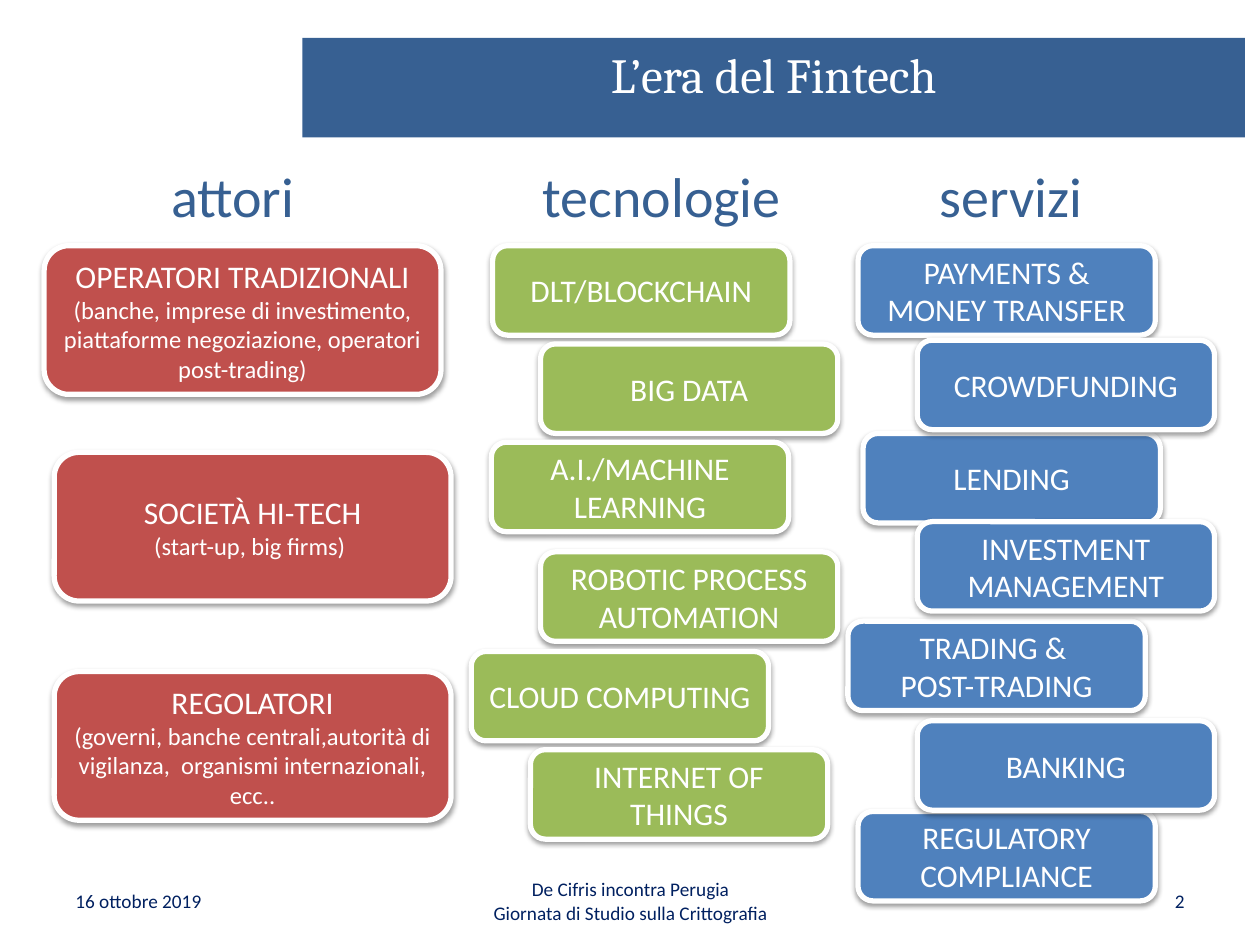
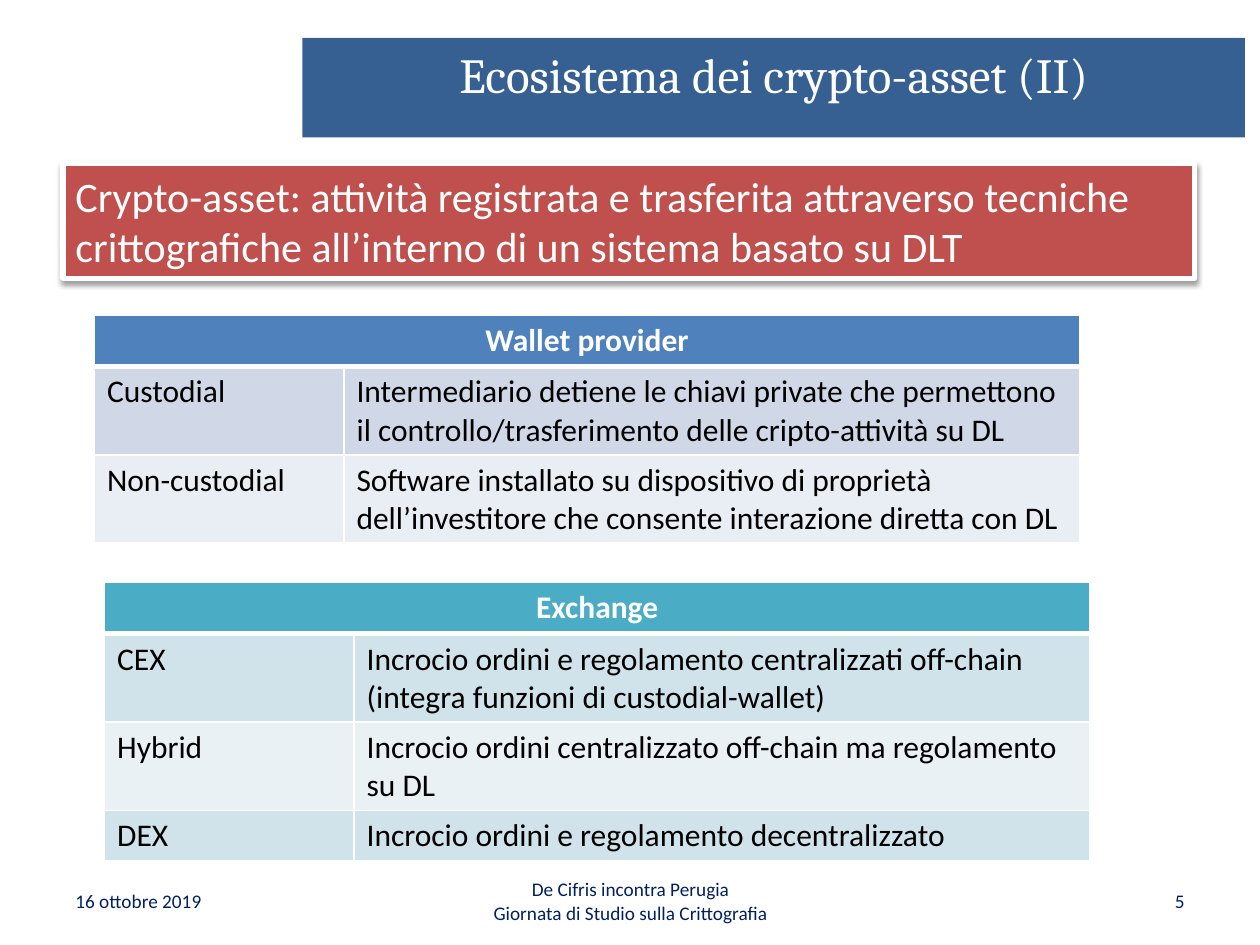
import lxml.etree
import pptx
import pptx.dml.color
import pptx.enum.shapes
import pptx.enum.text
import pptx.oxml.ns
import pptx.util

Inches = pptx.util.Inches
Pt = pptx.util.Pt
RGBColor = pptx.dml.color.RGBColor
Align = pptx.enum.text.PP_ALIGN
Anchor = pptx.enum.text.MSO_ANCHOR
ShapeType = pptx.enum.shapes.MSO_SHAPE
qn = pptx.oxml.ns.qn

WHITE = RGBColor(0xFF, 0xFF, 0xFF)
BLACK = RGBColor(0, 0, 0)
NAVY = RGBColor(0x00, 0x20, 0x60)
BAND_BLUE = RGBColor(0x37, 0x60, 0x92)
RED = RGBColor(0xC0, 0x50, 0x4D)
GREEN = RGBColor(0x9B, 0xBB, 0x59)
BLUE = RGBColor(0x4F, 0x81, 0xBD)
BLUE_ROWS = (RGBColor(0xD0, 0xD8, 0xE8), RGBColor(0xE9, 0xED, 0xF4))
TEAL = RGBColor(0x4B, 0xAC, 0xC6)
TEAL_ROWS = (RGBColor(0xD0, 0xE3, 0xEA), RGBColor(0xE9, 0xF1, 0xF5))


class Deck:
    """House style plus the slide being built."""

    BODY_FONT = "Calibri"
    TITLE_FONT = "Cambria"
    FOOTER = ["De Cifris incontra Perugia", "Giornata di Studio sulla Crittografia"]

    def __init__(self):
        self.presentation = pptx.Presentation()
        self.presentation.slide_width = Inches(10)
        self.presentation.slide_height = Inches(7.5)
        self.slide = None

    def new_slide(self, title, number):
        self.slide = self.presentation.slides.add_slide(self.presentation.slide_layouts[6])
        # Title band
        band = self.shape(ShapeType.RECTANGLE, 2.4, 0.3, 7.48, 0.79, BAND_BLUE)
        band.line.fill.background()
        self.fill_text(band.text_frame, [(title, 28)], WHITE, Align.CENTER, font=self.TITLE_FONT)
        # Footer
        for left, width, lines, align in (
            (0.5, 2.33, ["16 ottobre 2019"], Align.LEFT),
            (3.42, 3.17, self.FOOTER, Align.CENTER),
            (7.17, 2.33, [str(number)], Align.RIGHT),
        ):
            self.text(left, 6.95, width, 0.4, [(line, 11) for line in lines],
                      NAVY, align, Anchor.MIDDLE)

    def fill_text(self, frame, lines, color, align=Align.LEFT, anchor=Anchor.TOP,
                  font=BODY_FONT, bold=False):
        """Add (text, size) lines, one paragraph each."""
        frame.word_wrap = True
        frame.vertical_anchor = anchor
        for index, (text, size) in enumerate(lines):
            paragraph = frame.add_paragraph() if index else frame.paragraphs[0]
            paragraph.alignment = align
            run = paragraph.add_run()
            run.text = text
            run.font.size = Pt(size)
            run.font.name = font
            run.font.bold = bold
            run.font.color.rgb = color

    def text(self, left, top, width, height, lines, color, align=Align.LEFT, anchor=Anchor.TOP):
        box = self.slide.shapes.add_textbox(*map(Inches, (left, top, width, height)))
        self.fill_text(box.text_frame, lines, color, align, anchor)

    def shape(self, kind, left, top, width, height, fill):
        shape = self.slide.shapes.add_shape(kind, *map(Inches, (left, top, width, height)))
        shape.shadow.inherit = False
        shape.fill.solid()
        shape.fill.fore_color.rgb = fill
        return shape

    def card(self, left, top, width, height, fill, lines, kind=ShapeType.ROUNDED_RECTANGLE,
             align=Align.CENTER, anchor=Anchor.MIDDLE):
        """White-edged shape with a soft shadow below it."""
        card = self.shape(kind, left, top, width, height, fill)
        card.line.color.rgb = WHITE
        card.line.width = Pt(3)
        effects = card._element.spPr.find(qn("a:effectLst"))
        shadow = lxml.etree.SubElement(
            effects, qn("a:outerShdw"), blurRad=str(Pt(3.1)), dist=str(Pt(1.6)),
            dir="5400000", rotWithShape="0")
        shadow_color = lxml.etree.SubElement(shadow, qn("a:srgbClr"), val=str(BLACK))
        lxml.etree.SubElement(shadow_color, qn("a:alpha"), val="38000")
        self.fill_text(card.text_frame, lines, WHITE, align, anchor)

    def cell(self, cell, text, fill, color, top_border=1, bottom_border=1,
             align=Align.LEFT, bold=False):
        properties = cell._tc.get_or_add_tcPr()
        borders = {"a:lnL": 1, "a:lnR": 1, "a:lnT": top_border, "a:lnB": bottom_border}
        for tag, width in borders.items():
            line = lxml.etree.SubElement(properties, qn(tag), w=str(Pt(width)))
            line_fill = lxml.etree.SubElement(line, qn("a:solidFill"))
            lxml.etree.SubElement(line_fill, qn("a:srgbClr"), val=str(WHITE))
        cell.fill.solid()
        cell.fill.fore_color.rgb = fill
        if text:
            self.fill_text(cell.text_frame, [(text, 18)], color, align, bold=bold)

    def table(self, left, top, heading, rows, header_fill, row_fills):
        """Two-column table under one merged heading; rows are (term, meaning, height)."""
        heights = [0.41] + [height for *_, height in rows]
        table = self.slide.shapes.add_table(
            len(heights), 2, *map(Inches, (left, top, 7.82, sum(heights)))).table
        for column, width in zip(table.columns, (1.98, 5.84)):
            column.width = Inches(width)
        for row, height in zip(table.rows, heights):
            row.height = Inches(height)
        table.cell(0, 0).merge(table.cell(0, 1))
        for column, text in enumerate((heading, "")):
            self.cell(table.cell(0, column), text, header_fill, WHITE,
                      bottom_border=3, align=Align.CENTER, bold=True)
        for index, (*texts, _) in enumerate(rows):
            for column, text in enumerate(texts):
                self.cell(table.cell(index + 1, column), text, row_fills[index % 2], BLACK,
                          top_border=1 if index else 3)


def build_fintech_slide(deck):
    deck.new_slide("L’era del Fintech", 2)

    # Column headings
    for left, width, heading in ((1.26, 1.34, "attori"), (4.21, 2.2, "tecnologie"),
                                 (7.36, 1.34, "servizi")):
        deck.text(left, 1.23, width, 0.64, [(heading, 32)], BAND_BLUE)

    # Actors
    for left, top, name, detail in (
        (0.35, 1.95, "OPERATORI TRADIZIONALI",
         "(banche, imprese di investimento, piattaforme negoziazione, operatori post-trading)"),
        (0.43, 3.59, "SOCIETÀ HI-TECH", "(start-up, big firms) "),
        (0.43, 5.33, "REGOLATORI",
         "(governi, banche centrali,autorità di vigilanza,  organismi internazionali, ecc.."),
    ):
        deck.card(left, top, 3.15, 1.18, RED, [(name, 18), (detail, 14)])

    # Technologies and services; the right-hand services overlap the left-hand ones
    technologies = (
        (3.91, 1.95, "DLT/BLOCKCHAIN"),
        (4.29, 2.73, "BIG DATA"),
        (3.9, 3.51, "A.I./MACHINE LEARNING"),
        (4.29, 4.38, "ROBOTIC PROCESS AUTOMATION"),
        (3.74, 5.17, "CLOUD COMPUTING"),
        (4.21, 5.95, "INTERNET OF THINGS"),
    )
    services = (
        (6.81, 1.95, "PAYMENTS & MONEY TRANSFER"),
        (6.85, 3.44, "LENDING"),
        (6.73, 4.93, "TRADING & ", "POST-TRADING"),
        (6.81, 6.44, "REGULATORY COMPLIANCE"),
        (7.28, 2.7, "CROWDFUNDING"),
        (7.28, 4.14, "INVESTMENT MANAGEMENT"),
        (7.28, 5.72, "BANKING"),
    )
    for fill, cards in ((GREEN, technologies), (BLUE, services)):
        for left, top, *lines in cards:
            deck.card(left, top, 2.36, 0.71, fill, [(line, 18) for line in lines])


def build_crypto_asset_slide(deck):
    deck.new_slide("Ecosistema dei crypto-asset (II)", 5)

    # Definition
    definition = ("Crypto-asset: attività registrata e trasferita attraverso tecniche "
                  "crittografiche all’interno di un sistema basato su DLT")
    deck.card(0.5, 1.3, 8.98, 0.91, RED, [(definition, 24)],
              ShapeType.RECTANGLE, Align.LEFT, Anchor.TOP)

    # Tables
    deck.table(0.75, 2.5, "Wallet provider", (
        ("Custodial", "Intermediario detiene le chiavi private che permettono "
         "il controllo/trasferimento delle cripto-attività su DL", 0.7),
        ("Non-custodial", "Software installato su dispositivo di proprietà "
         "dell’investitore che consente interazione diretta con DL", 0.7),
    ), BLUE, BLUE_ROWS)
    deck.table(0.83, 4.62, "Exchange", (
        ("CEX", "Incrocio ordini e regolamento centralizzati off-chain "
         "(integra funzioni di custodial-wallet)", 0.7),
        ("Hybrid", "Incrocio ordini centralizzato off-chain ma regolamento su DL", 0.7),
        ("DEX", "Incrocio ordini e regolamento decentralizzato", 0.4),
    ), TEAL, TEAL_ROWS)


def main():
    deck = Deck()
    build_fintech_slide(deck)
    build_crypto_asset_slide(deck)
    deck.presentation.save("out.pptx")


if __name__ == "__main__":
    main()
